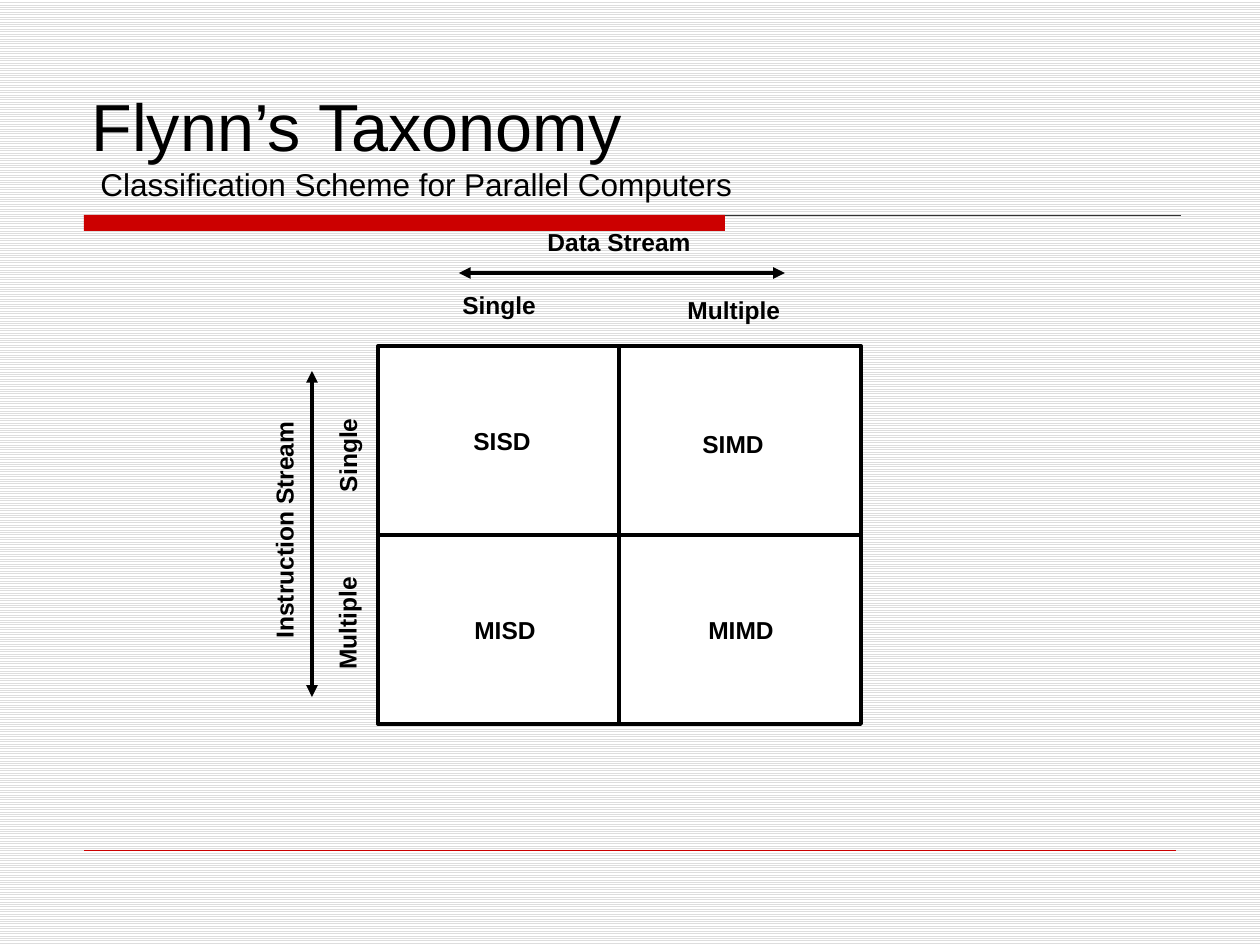
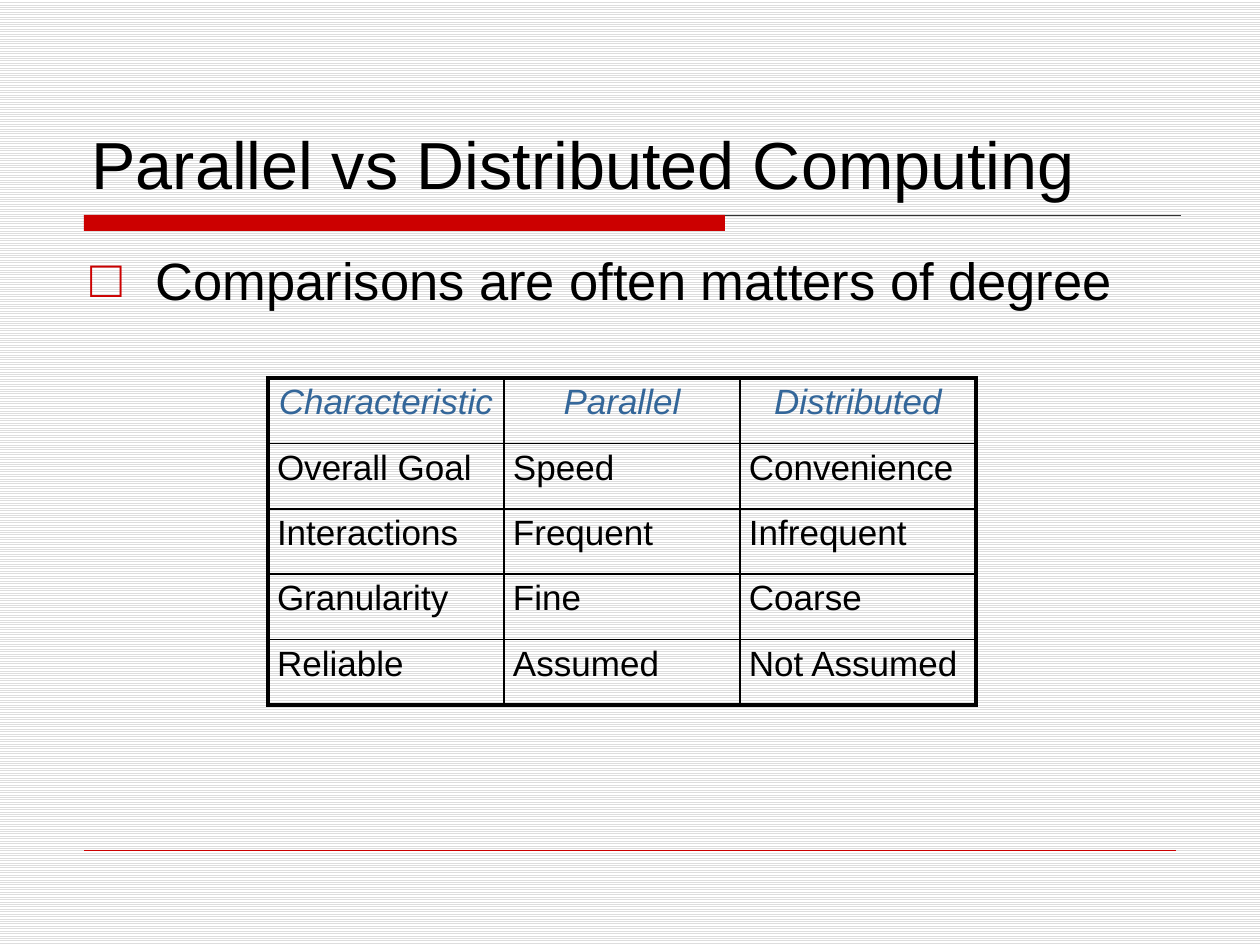
from lxml import etree
from pptx import Presentation
from pptx.dml.color import RGBColor
from pptx.enum.dml import MSO_PATTERN
from pptx.enum.shapes import MSO_CONNECTOR, MSO_SHAPE
from pptx.enum.text import MSO_ANCHOR, MSO_AUTO_SIZE, PP_ALIGN
from pptx.oxml.ns import qn
from pptx.util import Pt

SCALE = 914400 / 126
FONT = "Arial"
COLORS = {
    "ink": "000000",
    "paper": "FFFFFF",
    "stripe": "DDDDDD",
    "red": "CC0000",
    "rule": "333333",
    "header": "336699",
}
TITLE_SIZE = 38
THIN, THICK = 1, 2.25
LEFT, CENTER = PP_ALIGN.LEFT, PP_ALIGN.CENTER
BOTTOM = MSO_ANCHOR.BOTTOM
NO_FIT, GROW = MSO_AUTO_SIZE.NONE, MSO_AUTO_SIZE.SHAPE_TO_FIT_TEXT
RECTANGLE = MSO_SHAPE.RECTANGLE
STRAIGHT = MSO_CONNECTOR.STRAIGHT
LIGHT_HORIZONTAL = MSO_PATTERN.LIGHT_HORIZONTAL
TITLE_ONLY, TITLE_AND_BODY = 5, 1


def px(length):
    return round(length * SCALE)


def px_all(*lengths):
    return [px(length) for length in lengths]


def color(name):
    return RGBColor.from_string(COLORS[name])


def style(span, size, tint="ink", bold=False, italic=False):
    span.font.name = FONT
    span.font.size = Pt(size)
    span.font.bold = bold
    span.font.italic = italic
    span.font.color.rgb = color(tint)


def place(shape, left, top, width, height):
    shape.left, shape.top, shape.width, shape.height = px_all(left, top, width, height)


def set_master(deck):
    master = deck.slide_master
    fill = master.background.fill
    fill.patterned()
    fill.pattern = LIGHT_HORIZONTAL
    fill.fore_color.rgb = color("stripe")
    fill.back_color.rgb = color("paper")
    title_font = master.element.xpath(".//p:titleStyle/a:lvl1pPr/a:defRPr")[0]
    title_font.set("sz", str(TITLE_SIZE * 100))


def add_line(page, start, end, tint="ink", width=THICK, arrows=False):
    line = page.shapes.add_connector(STRAIGHT, *px_all(*start, *end))
    line.line.color.rgb = color(tint)
    line.line.width = Pt(width)
    properties = line.element.spPr
    if arrows:
        outline = properties.find(qn("a:ln"))
        for tip in ("a:headEnd", "a:tailEnd"):
            etree.SubElement(outline, qn(tip), type="triangle")
    etree.SubElement(properties, qn("a:effectLst"))


def add_rectangle(shapes, left, top, width, height, tint, outline=None):
    box = shapes.add_shape(RECTANGLE, *px_all(left, top, width, height))
    box.shadow.inherit = False
    box.fill.solid()
    box.fill.fore_color.rgb = color(tint)
    if outline:
        box.line.color.rgb = color(outline)
        box.line.width = Pt(THICK)
    else:
        box.line.fill.background()


def add_page(deck, layout, title, sizes):
    page = deck.slides.add_slide(deck.slide_layouts[layout])
    add_line(page, (84, 215), (1181, 215), "rule", 0.25)
    add_rectangle(page.shapes, 84, 215, 641, 16, "red")
    add_line(page, (84, 850), (1176, 850), "red", 0.25)
    box = page.shapes.title
    place(box, 79, 42, 1102, 167)
    frame = box.text_frame
    frame.text = title
    frame.auto_size = NO_FIT
    frame.vertical_anchor = BOTTOM
    para = frame.paragraphs[0]
    para.alignment = LEFT
    for span, size in zip(para.runs, sizes):
        style(span, size)
    return page


def add_label(page, text, left, top, width, rotation=0):
    box = page.shapes.add_textbox(*px_all(left, top, width, 42))
    box.rotation = rotation
    frame = box.text_frame
    frame.word_wrap = False
    frame.auto_size = GROW
    frame.text = text
    style(frame.paragraphs[0].runs[0], 14, bold=True)


def add_quadrants(page):
    group = page.shapes.add_group_shape()
    for row in range(2):
        for column in range(2):
            add_rectangle(group.shapes, 378 + 241.5 * column, 346 + 189 * row,
                          241.5, 189, "paper", "ink")


def set_bullet(para, indent):
    properties = para._p.get_or_add_pPr()
    properties.set("marL", str(px(indent)))
    properties.set("indent", str(-px(indent)))
    tint = etree.SubElement(properties, qn("a:buClr"))
    etree.SubElement(tint, qn("a:srgbClr"), val=COLORS["red"])
    etree.SubElement(properties, qn("a:buSzPct"), val="100000")
    etree.SubElement(properties, qn("a:buFont"), typeface=FONT)
    etree.SubElement(properties, qn("a:buChar"), char="□")


def fill_body(page, text):
    body = page.placeholders[1]
    place(body, 78, 242, 1102, 588)
    frame = body.text_frame
    frame.text = text
    frame.auto_size = NO_FIT
    para = frame.paragraphs[0]
    set_bullet(para, 65)
    para.space_before = Pt(0)
    style(para.runs[0], 30)


def set_borders(cell, widths):
    properties = cell._tc.get_or_add_tcPr()
    for side, width in widths.items():
        border = etree.SubElement(properties, qn(f"a:ln{side}"), w=str(Pt(width)))
        fill = etree.SubElement(border, qn("a:solidFill"))
        etree.SubElement(fill, qn("a:srgbClr"), val=COLORS["ink"])


def fill_cell(cell, text, is_header):
    cell.margin_left = cell.margin_right = px(9)
    cell.margin_top = cell.margin_bottom = px(5)
    cell.fill.background()
    cell.text_frame.text = text
    para = cell.text_frame.paragraphs[0]
    para.alignment = CENTER if is_header else LEFT
    style(para.runs[0], 20, "header" if is_header else "ink", italic=is_header)


def add_comparison(page, rows):
    last_row, last_column = len(rows) - 1, len(rows[0]) - 1
    frame = page.shapes.add_table(len(rows), len(rows[0]), *px_all(268, 378, 708, 327))
    table = frame.table
    table.first_row = table.horz_banding = False
    for r, row in enumerate(rows):
        for c, text in enumerate(row):
            cell = table.cell(r, c)
            set_borders(cell, {
                "L": THICK if c == 0 else THIN,
                "R": THICK if c == last_column else THIN,
                "T": THICK if r == 0 else THIN,
                "B": THICK if r == last_row else THIN,
            })
            fill_cell(cell, text, r == 0)


def build_taxonomy(deck):
    page = add_page(
        deck, TITLE_ONLY,
        "Flynn’s Taxonomy\v Classification Scheme for Parallel Computers",
        (TITLE_SIZE, 18))
    add_quadrants(page)
    for text, left, top, width in (
        ("SISD", 461, 420, 84),
        ("SIMD", 690, 423, 87),
        ("MISD", 462, 609, 87),
        ("MIMD", 696, 609, 91),
        ("Single", 450, 284, 101),
        ("Multiple", 675, 289, 118),
        ("Data Stream", 535, 221, 169),
    ):
        add_label(page, text, left, top, width)
    for text, left, top, width in (
        ("Single", 297, 433, 101),
        ("Multiple", 288, 602, 118),
        ("Instruction Stream", 163, 509, 242),
    ):
        add_label(page, text, left, top, width, 270)
    add_line(page, (312, 371), (312, 697), arrows=True)
    add_line(page, (459, 273), (785, 273), arrows=True)


def build_comparison(deck):
    page = add_page(deck, TITLE_AND_BODY, "Parallel vs Distributed Computing", (TITLE_SIZE,))
    fill_body(page, "Comparisons are often matters of degree")
    add_comparison(page, (
        ("Characteristic", "Parallel", "Distributed"),
        ("Overall Goal", "Speed", "Convenience"),
        ("Interactions", "Frequent", "Infrequent"),
        ("Granularity", "Fine", "Coarse"),
        ("Reliable", "Assumed", "Not Assumed"),
    ))


def main():
    deck = Presentation()
    deck.slide_width, deck.slide_height = px_all(1260, 945)
    set_master(deck)
    build_taxonomy(deck)
    build_comparison(deck)
    deck.save("out.pptx")


if __name__ == "__main__":
    main()
